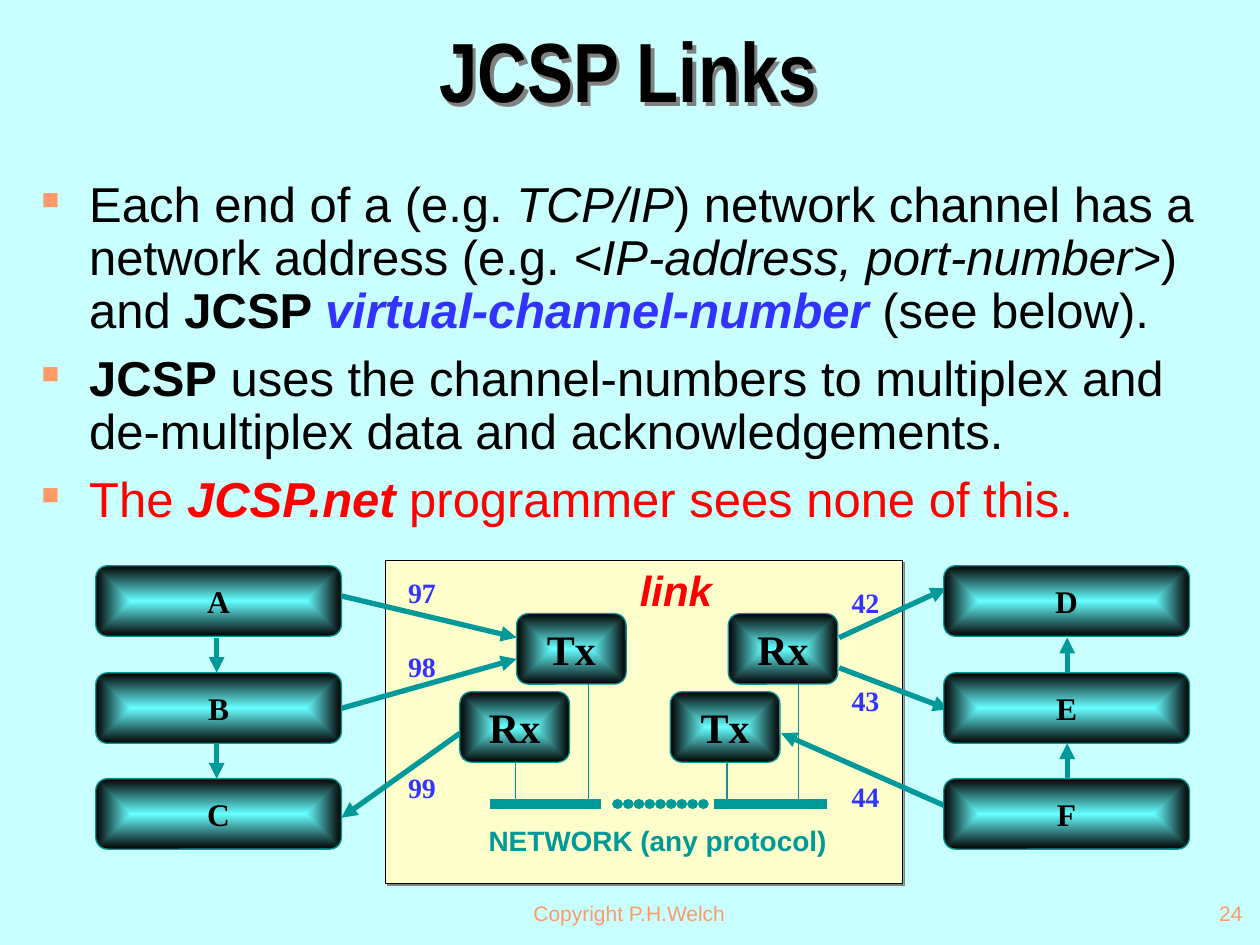
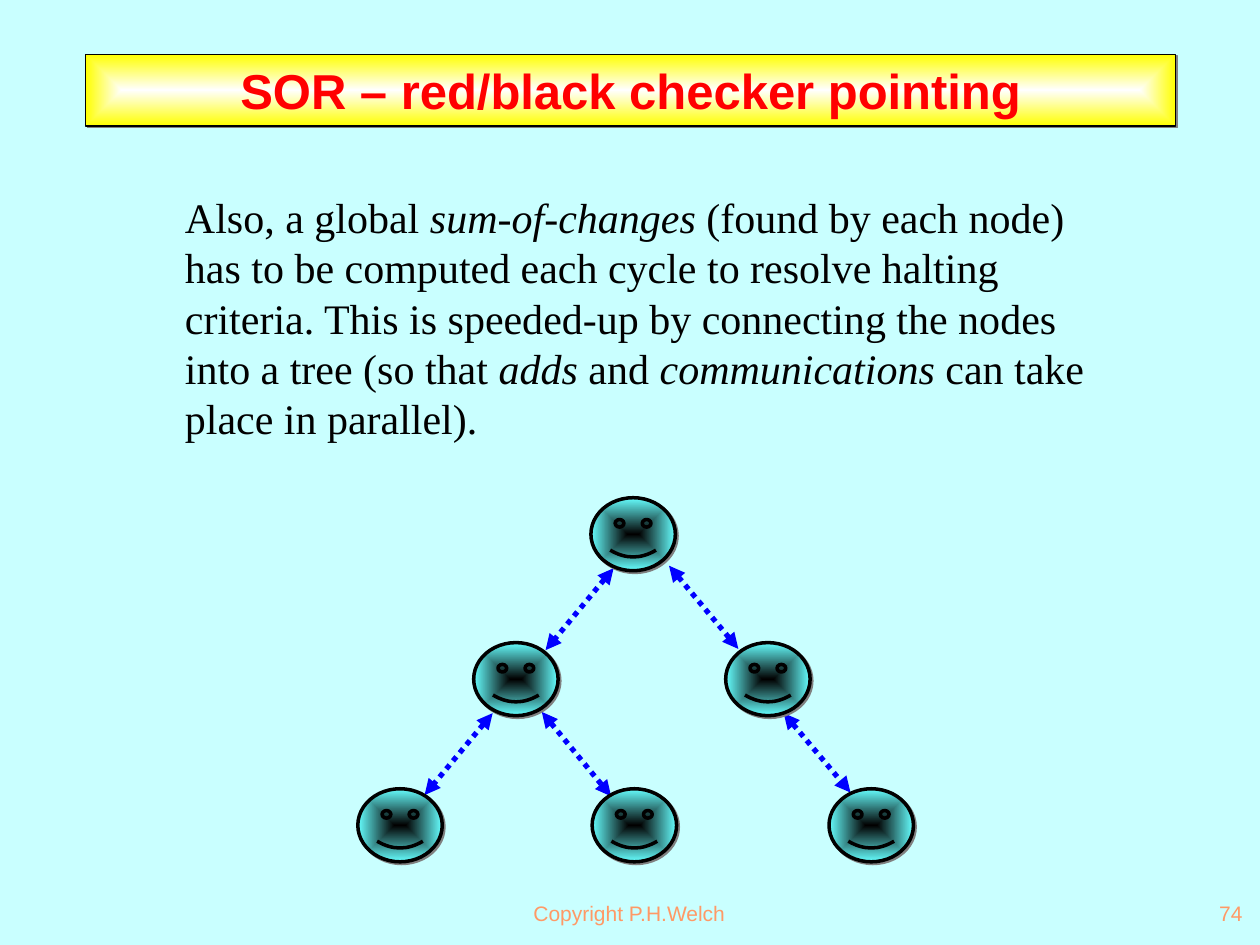
from dataclasses import dataclass

from lxml import etree
from pptx import Presentation
from pptx.dml.color import RGBColor
from pptx.enum.dml import MSO_LINE
from pptx.enum.shapes import MSO_CONNECTOR, MSO_SHAPE
from pptx.enum.text import MSO_ANCHOR, MSO_AUTO_SIZE, PP_ALIGN
from pptx.oxml.ns import qn
from pptx.util import Inches, Pt

LEFT, CENTER, RIGHT = PP_ALIGN.LEFT, PP_ALIGN.CENTER, PP_ALIGN.RIGHT
TOP, MIDDLE = MSO_ANCHOR.TOP, MSO_ANCHOR.MIDDLE
RECT, ROUNDED, SMILEY = MSO_SHAPE.RECTANGLE, MSO_SHAPE.ROUNDED_RECTANGLE, MSO_SHAPE.SMILEY_FACE
STRAIGHT, DOTTED, NO_AUTOFIT = MSO_CONNECTOR.STRAIGHT, MSO_LINE.ROUND_DOT, MSO_AUTO_SIZE.NONE


@dataclass(frozen=True)
class Theme:
    """Colours, fonts and type sizes of the deck."""
    sky: str = "C9FFFF"
    ink: str = "010000"
    cream: str = "FFFFCC"
    teal: str = "009999"
    aqua: str = "66FFFF"
    orange: str = "FF9966"
    red: str = "FF0000"
    violet: str = "3333FF"
    blue: str = "0000FF"
    yellow: str = "FFFF00"
    white: str = "FFFFFF"
    grey: str = "808080"
    sans: str = "Arial"
    narrow: str = "Arial Narrow"
    serif: str = "Times New Roman"
    title: int = 48
    body: int = 28
    large: int = 24
    node: int = 18
    label: int = 16
    footer: int = 12


T = Theme()


def rgb(color):
    """Return the RGBColor of a hex string."""
    return RGBColor.from_string(color)


def sub(parent, tag, **attrs):
    """Append a DrawingML element and return it."""
    return etree.SubElement(parent, qn(tag), attrs)


def add_shadow(sp, distance=1.4):
    """Give a shape a grey drop shadow; without a fill its text casts it."""
    sp.shadow.inherit = False
    effects = sp.element.spPr.find(qn("a:effectLst"))
    shadow = sub(effects, "a:outerShdw", dist=str(Pt(distance)), dir="2700000", algn="ctr", rotWithShape="0")
    sub(shadow, "a:srgbClr", val=T.grey)


def add_runs(p, runs, size, font, color, bold=False):
    """Add runs given as text or as (text, style, colour), style being letters of 'bi'."""
    for item in runs:
        text, style, tint = item if isinstance(item, tuple) else (item, "", color)
        r = p.add_run()
        r.text = text
        r.font.size, r.font.name = Pt(size), font
        r.font.bold = bold or "b" in style
        r.font.italic = "i" in style
        r.font.color.rgb = rgb(tint)


def add_text(s, box, runs, size, font, color, bold=False, align=LEFT, anchor=TOP, wrap=True):
    """Add a one-paragraph text box and return its paragraph."""
    tf = s.shapes.add_textbox(*map(Inches, box)).text_frame
    tf.word_wrap, tf.vertical_anchor = wrap, anchor
    p = tf.paragraphs[0]
    p.alignment = align
    add_runs(p, runs, size, font, color, bold)
    return p


def add_bullet(s, top, height, runs, color=T.ink):
    """Add a full-width text box with one square-bulleted paragraph."""
    p = add_text(s, (0.23, top, 9.52, height), runs, T.body, T.sans, color)
    p.line_spacing = 0.9
    ppr = p._p.get_or_add_pPr()
    ppr.set("marL", str(Inches(0.38)))
    ppr.set("indent", str(Inches(-0.38)))
    sub(sub(ppr, "a:buClr"), "a:srgbClr", val=T.orange)
    sub(ppr, "a:buSzPct", val="50000")
    sub(ppr, "a:buChar", char="■")


def fill_glow(sp, inner, outer):
    """Fill a shape with a gradient running from its centre to its edges."""
    sp.fill.gradient()
    for stop, color in zip(sp.fill.gradient_stops, (inner, outer)):
        stop.color.rgb = rgb(color)
    grad = sp.element.spPr.find(qn("a:gradFill"))
    grad.remove(grad.find(qn("a:lin")))
    sub(sub(grad, "a:path", path="rect"), "a:fillToRect", l="50000", t="50000", r="50000", b="50000")


def outline(sp, color, width):
    """Set the line of a shape and take away its inherited shadow."""
    sp.line.color.rgb = rgb(color)
    sp.line.width = Pt(width)
    sp.shadow.inherit = False


def add_node(s, box, name, size):
    """Add a glowing rounded process box with its name."""
    sp = s.shapes.add_shape(ROUNDED, *map(Inches, box))
    fill_glow(sp, T.aqua, T.ink)
    outline(sp, T.teal, 0.75)
    tf = sp.text_frame
    tf.word_wrap, tf.vertical_anchor = False, MIDDLE
    tf.paragraphs[0].alignment = CENTER
    add_runs(tf.paragraphs[0], [name], size, T.serif, T.ink, bold=True)


def add_line(s, start, end, width=3.0, color=T.teal, heads=(), dash=None):
    """Add a straight line with triangles at the ends named in heads."""
    cn = s.shapes.add_connector(STRAIGHT, *map(Inches, start + end))
    cn.line.color.rgb = rgb(color)
    cn.line.width = Pt(width)
    if dash:
        cn.line.dash_style = dash
    for head in heads:
        sub(cn.line._get_or_add_ln(), f"a:{head}End", type="triangle")
    sub(cn.element.spPr, "a:effectLst")
    return cn


def add_bead_line(s, start, end, width):
    """Add a line drawn as a row of touching round beads."""
    ln = add_line(s, start, end, width).line._get_or_add_ln()
    ln.set("cap", "rnd")
    sub(sub(ln, "a:custDash"), "a:ds", d="2000", sp="100000")


def add_slide(prs, title, box, size, font, color, number):
    """Add a title-only slide with its title, footer and number."""
    s = prs.slides.add_slide(prs.slide_layouts[5])
    sp = s.shapes.title
    sp.left, sp.top, sp.width, sp.height = map(Inches, box)
    tf = sp.text_frame
    tf.auto_size, tf.vertical_anchor, tf.word_wrap = NO_AUTOFIT, MIDDLE, True
    tf.paragraphs[0].alignment = CENTER
    add_runs(tf.paragraphs[0], [title], size, font, color, bold=True)
    for place, text, align in (((3.41, 7, 3.17, 0.5), "Copyright P.H.Welch", CENTER),
                               ((7.88, 7, 2.08, 0.5), number, RIGHT)):
        add_text(s, place, [text], T.footer, T.sans, T.orange, align=align, anchor=MIDDLE)
    return s


def add_process_columns(s):
    """Draw the process columns A to C and D to F with their arrows."""
    tops = (4.49, 5.34, 6.18)
    for left, names in ((0.76, "ABC"), (7.49, "DEF")):
        for top, name in zip(tops, names):
            add_node(s, (left, top, 1.95, 0.56), name, T.node)
    for top in tops[1:]:
        add_line(s, (1.72, top - 0.28), (1.72, top), heads=["tail"])
        add_line(s, (8.47, top), (8.47, top - 0.28), heads=["tail"])


def add_link_panel(s):
    """Draw the link between the columns with its channels and network."""
    panel = s.shapes.add_shape(RECT, *map(Inches, (3.06, 4.45, 4.1, 2.56)))
    panel.fill.solid()
    panel.fill.fore_color.rgb = rgb(T.cream)
    outline(panel, T.ink, 0.25)
    add_shadow(panel)

    for x, top in ((4.09, 6.04), (4.67, 5.43), (5.77, 6.04), (6.34, 5.43)):
        add_line(s, (x, top), (x, 6.38), 0.75)
    channels = (
        ((2.71, 4.73), (4.1, 5.06)), ((2.68, 5.63), (4.1, 5.23)), ((3.65, 5.82), (2.71, 6.49)),
        ((6.66, 5.06), (7.51, 4.67)), ((6.66, 5.3), (7.53, 5.63)), ((7.51, 6.4), (6.2, 5.82)),
    )
    for start, end in channels:
        add_line(s, start, end, heads=["tail"])
    for left, top, name in ((4.1, 4.87, "Tx"), (5.78, 4.87, "Rx"), (3.65, 5.49, "Rx"), (5.32, 5.49, "Tx")):
        add_node(s, (left, top, 0.87, 0.56), name, T.large)

    add_line(s, (3.89, 6.38), (4.77, 6.38), 6)
    add_bead_line(s, (4.9, 6.38), (5.63, 6.38), 6)
    add_line(s, (5.67, 6.38), (6.56, 6.38), 6)
    add_text(s, (4.88, 4.43, 0.97, 0.5), [("link", "bi", T.red)], T.large, T.sans, T.red, align=CENTER)
    add_text(s, (3.62, 6.49, 3.2, 0.37), ["NETWORK (any protocol)"], T.label, T.sans, T.teal,
             bold=True, align=CENTER)
    for left, numbers in ((3.14, ((4.52, "97"), (5.11, "98"), (6.07, "99"))),
                          (6.66, ((4.6, "42"), (5.38, "43"), (6.14, "44")))):
        for top, number in numbers:
            add_text(s, (left, top, 0.42, 0.37), [number], T.label, T.serif, T.violet, bold=True, wrap=False)


def links_slide(prs):
    """Build the slide on JCSP links."""
    s = add_slide(prs, "JCSP Links", (0.24, 0.15, 9.49, 0.99), T.title, T.narrow, T.ink, "24")
    title = s.shapes.title
    title.text_frame.paragraphs[0].line_spacing = 0.7
    title.fill.background()
    add_shadow(title, 3)

    add_bullet(s, 1.38, 1.42, [
        "Each end of a (e.g. ", ("TCP/IP", "i", T.ink), ") network channel has a network address (e.g. ",
        ("<IP-address, port-number>", "i", T.ink), ") and ", ("JCSP ", "b", T.ink),
        ("virtual-channel-number ", "bi", T.violet), "(see below)."])
    add_bullet(s, 2.76, 1.05, [
        ("JCSP", "b", T.ink),
        " uses the channel-numbers to multiplex and de-multiplex data and acknowledgements."])
    add_bullet(s, 3.72, 0.71, ["The ", ("JCSP.net", "bi", T.red), " programmer sees none of this."], T.red)
    add_link_panel(s)
    add_process_columns(s)


def checker_slide(prs):
    """Build the slide on checker pointing with its tree of nodes."""
    s = add_slide(prs, "SOR – red/black checker pointing", (0.68, 0.43, 8.65, 0.57),
                  T.body, T.sans, T.red, "74")
    banner = s.shapes.title
    fill_glow(banner, T.white, T.yellow)
    outline(banner, T.ink, 0.75)
    add_shadow(banner)
    add_text(s, (1.37, 1.47, 7.34, 2.1), [
        "Also, a global ", ("sum-of-changes", "i", T.ink),
        " (found by each node) has to be computed each cycle to resolve halting criteria. "
        "This is speeded-up by connecting the nodes into a tree (so that ",
        ("adds", "i", T.ink), " and ", ("communications", "i", T.ink),
        " can take place in parallel)."], T.large, T.serif, T.ink)

    branches = (((4.87, 4.51), (4.33, 5.16)), ((5.31, 4.49), (5.86, 5.15)), ((3.91, 5.66), (3.37, 6.31)),
                ((4.3, 5.65), (4.85, 6.32)), ((6.22, 5.66), (6.75, 6.29)))
    for start, end in branches:
        add_line(s, start, end, color=T.blue, heads=("head", "tail"), dash=DOTTED)
    for top, lefts in ((3.95, (4.69,)), (5.1, (3.76, 5.76)), (6.26, (2.84, 4.7, 6.58))):
        for left in lefts:
            sp = s.shapes.add_shape(SMILEY, *map(Inches, (left, top, 0.67, 0.58)))
            fill_glow(sp, T.ink, T.aqua)
            outline(sp, T.ink, 2)
            add_shadow(sp)


def main():
    """Build and save the deck."""
    prs = Presentation()
    prs.slide_width, prs.slide_height = Inches(10), Inches(7.5)
    fill = prs.slide_master.background.fill
    fill.solid()
    fill.fore_color.rgb = rgb(T.sky)
    links_slide(prs)
    checker_slide(prs)
    prs.save("out.pptx")


if __name__ == "__main__":
    main()
